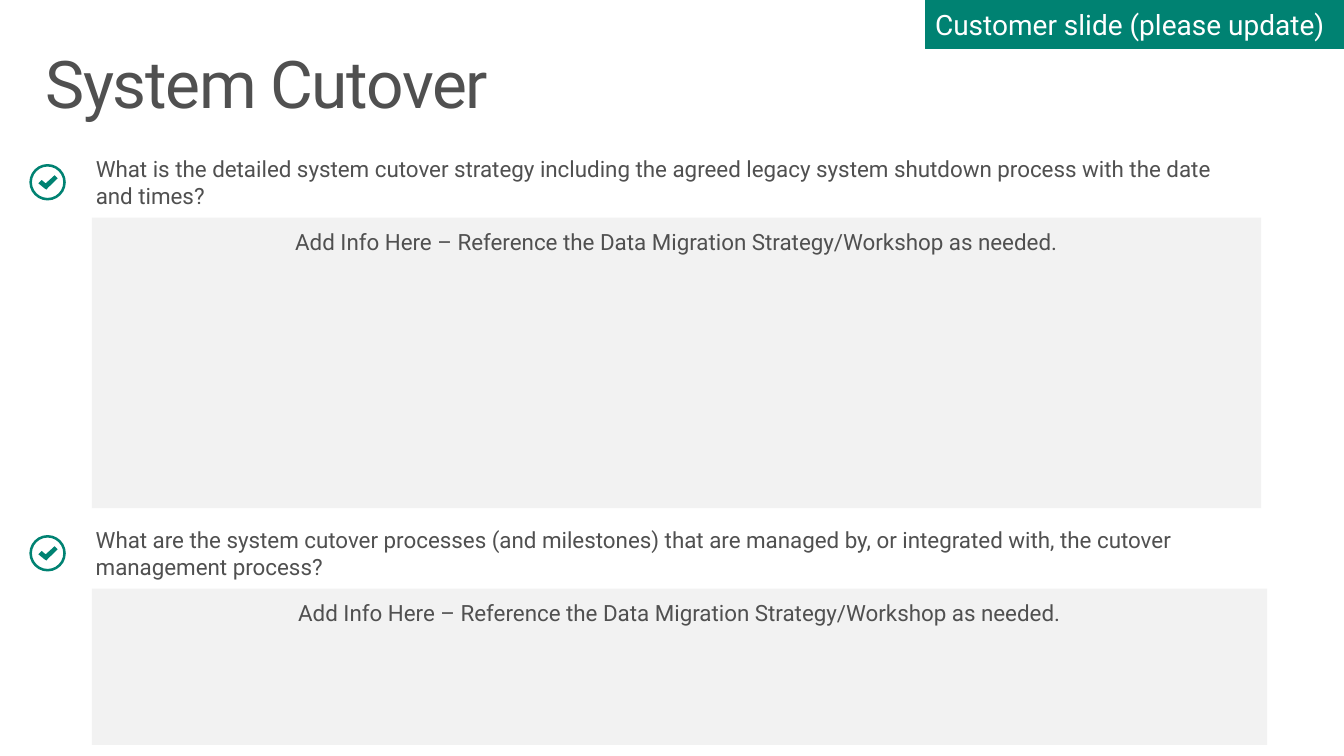
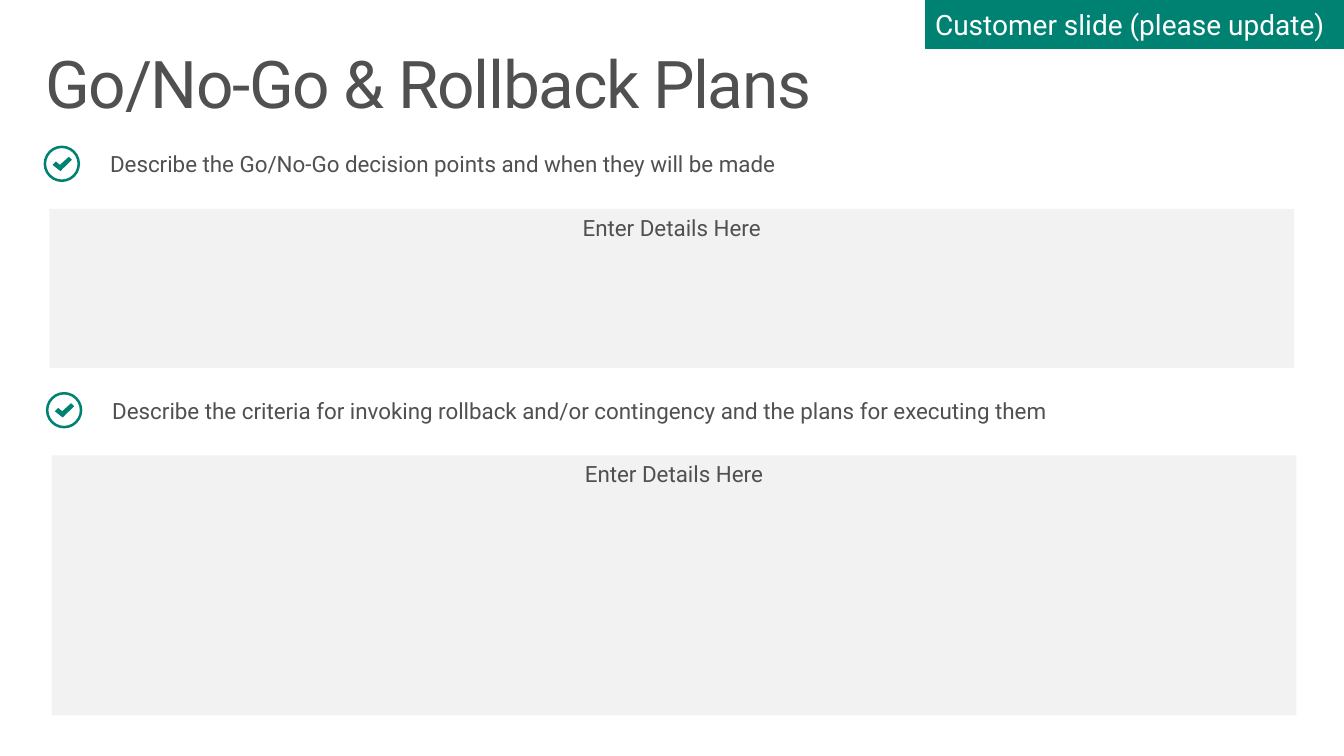
from lxml.etree import SubElement
from pptx import Presentation
from pptx.dml.color import RGBColor
from pptx.enum.shapes import MSO_SHAPE
from pptx.enum.text import MSO_ANCHOR, MSO_AUTO_SIZE, PP_ALIGN
from pptx.util import Pt

FONT = "Roboto"
TEAL, GREY, PALE, WHITE = "008272", "505050", "F2F2F2", "FFFFFF"

BANNER = "Customer slide (please update)"
MIGRATION_HINT = "Add Info Here – Reference the Data Migration Strategy/Workshop as needed."
DETAILS_HINT = "Enter Details Here"

# Positions are in points; panel_shift runs from a question's icon to its panel.
SLIDES = [
    {
        "title": "System Cutover", "hint": MIGRATION_HINT, "hint_top": 7.2,
        "panel_shift": (44.6, 25.3), "question_height": 41,
        "questions": [
            {"text": "What is the detailed system cutover strategy including the agreed "
                     "legacy system shutdown process with the date and times?",
             "icon_left": 21, "middle": 130.2, "width": 851, "panel": (835.2, 207.4)},
            {"text": "What are the system cutover processes (and milestones) that are managed "
                     "by, or integrated with, the cutover management process?",
             "icon_left": 21, "middle": 395.2, "width": 887.8, "panel": (839.5, 111.6)},
        ],
    },
    {
        "title": "Go/No-Go & Rollback Plans", "hint": DETAILS_HINT, "hint_top": 3.6,
        "panel_shift": (4, 32.2), "question_height": 26.6,
        "questions": [
            {"text": "Describe the Go/No-Go decision points and when they will be made",
             "icon_left": 31.2, "middle": 117, "width": 554.4, "panel": (889.2, 113.8)},
            {"text": "Describe the criteria for invoking rollback and/or contingency and "
                     "the plans for executing them",
             "icon_left": 32.8, "middle": 293, "width": 885.6, "panel": (889.2, 185.8)},
        ],
    },
]

ICON_SIZE, RING_WIDTH = 26, 1.8
TEXT_SHIFT = 4.2
# Tick outline around the centre of the ring
TICK = [(5, -5), (-1.4, 0.8), (-4.2, -1.6), (-6.6, 0.8), (-2.2, 4.4),
        (-0.8, 5.2), (0.2, 4), (7.2, -2.8)]


def colour(hex_code):
    return RGBColor.from_string(hex_code)


def write(shape, text, size=16, hex_code=GREY, align=PP_ALIGN.LEFT, anchor=MSO_ANCHOR.TOP,
          insets=(7.2, 3.6, 7.2, 3.6), line_spacing=None, tracking=None):
    """Fill a shape with one formatted paragraph; insets are left, top, right, bottom."""
    frame = shape.text_frame
    frame.word_wrap = True
    frame.auto_size = MSO_AUTO_SIZE.NONE
    frame.vertical_anchor = anchor
    frame.margin_left, frame.margin_top, frame.margin_right, frame.margin_bottom = map(Pt, insets)
    paragraph = frame.paragraphs[0]
    paragraph.alignment = align
    paragraph.line_spacing = line_spacing
    run = paragraph.add_run()
    run.text = text
    run.font.name, run.font.size = FONT, Pt(size)
    run.font.color.rgb = colour(hex_code)
    if tracking is not None:
        run.font._element.set("spc", str(tracking * 100))


def paint(shape, fill=None, line=None, line_width=1):
    shape.shadow.inherit = False
    if fill:
        shape.fill.solid()
        shape.fill.fore_color.rgb = colour(fill)
    else:
        shape.fill.background()
    if line:
        shape.line.color.rgb = colour(line)
        shape.line.width = Pt(line_width)
    else:
        shape.line.fill.background()


def add_preset(shapes, preset, left, top, width, height, **look):
    shape = shapes.add_shape(preset, Pt(left), Pt(top), Pt(width), Pt(height))
    paint(shape, **look)
    return shape


def add_check_icon(shapes, left, middle):
    inset = RING_WIDTH / 2
    diameter = ICON_SIZE - RING_WIDTH
    add_preset(shapes, MSO_SHAPE.OVAL, left + inset, middle - diameter / 2, diameter, diameter,
               line=TEAL, line_width=RING_WIDTH)
    centre = left + ICON_SIZE / 2
    corners = [(Pt(centre + x), Pt(middle + y)) for x, y in TICK]
    outline = shapes.build_freeform(*corners[0])
    outline.add_line_segments(corners[1:], close=True)
    paint(outline.convert_to_shape(), fill=TEAL)


def add_question(slide, question, height):
    group = slide.shapes.add_group_shape().shapes
    left, middle = question["icon_left"], question["middle"]
    label = group.add_textbox(Pt(left + TEXT_SHIFT), Pt(middle - height / 2),
                              Pt(question["width"]), Pt(height))
    write(label, question["text"], anchor=MSO_ANCHOR.MIDDLE, insets=(43.2, 3.6, 7.2, 3.6))
    add_check_icon(group, left, middle)


def add_panel(slide, question, content):
    shift_x, shift_y = content["panel_shift"]
    panel = add_preset(slide.shapes, MSO_SHAPE.RECTANGLE, question["icon_left"] + shift_x,
                       question["middle"] + shift_y, *question["panel"], fill=PALE)
    write(panel, content["hint"], align=PP_ALIGN.CENTER,
          insets=(7.2, content["hint_top"], 7.2, 3.6))


def build_slide(deck, layout, content):
    slide = deck.slides.add_slide(layout)
    write(slide.shapes.title, content["title"], size=47, insets=(11.5, 7.2, 11.5, 7.2),
          line_spacing=0.9, tracking=-1)
    for question in content["questions"]:
        add_question(slide, question, content["question_height"])
        add_panel(slide, question, content)
    banner = add_preset(slide.shapes, MSO_SHAPE.RECTANGLE, 660.8, 0, 299.2, 34.8,
                        fill=TEAL, line=TEAL, line_width=0.25)
    write(banner, BANNER, size=20, hex_code=WHITE, anchor=MSO_ANCHOR.MIDDLE)


def main():
    deck = Presentation()
    deck.slide_width, deck.slide_height = Pt(960), Pt(540)
    layout = deck.slide_layouts.get_by_name("Title Only")
    title = layout.placeholders[0]
    title.left, title.top, title.width, title.height = Pt(21), Pt(29.5), Pt(918), Pt(70.6)
    for content in SLIDES:
        build_slide(deck, layout, content)
    deck.save("out.pptx")


if __name__ == "__main__":
    main()
